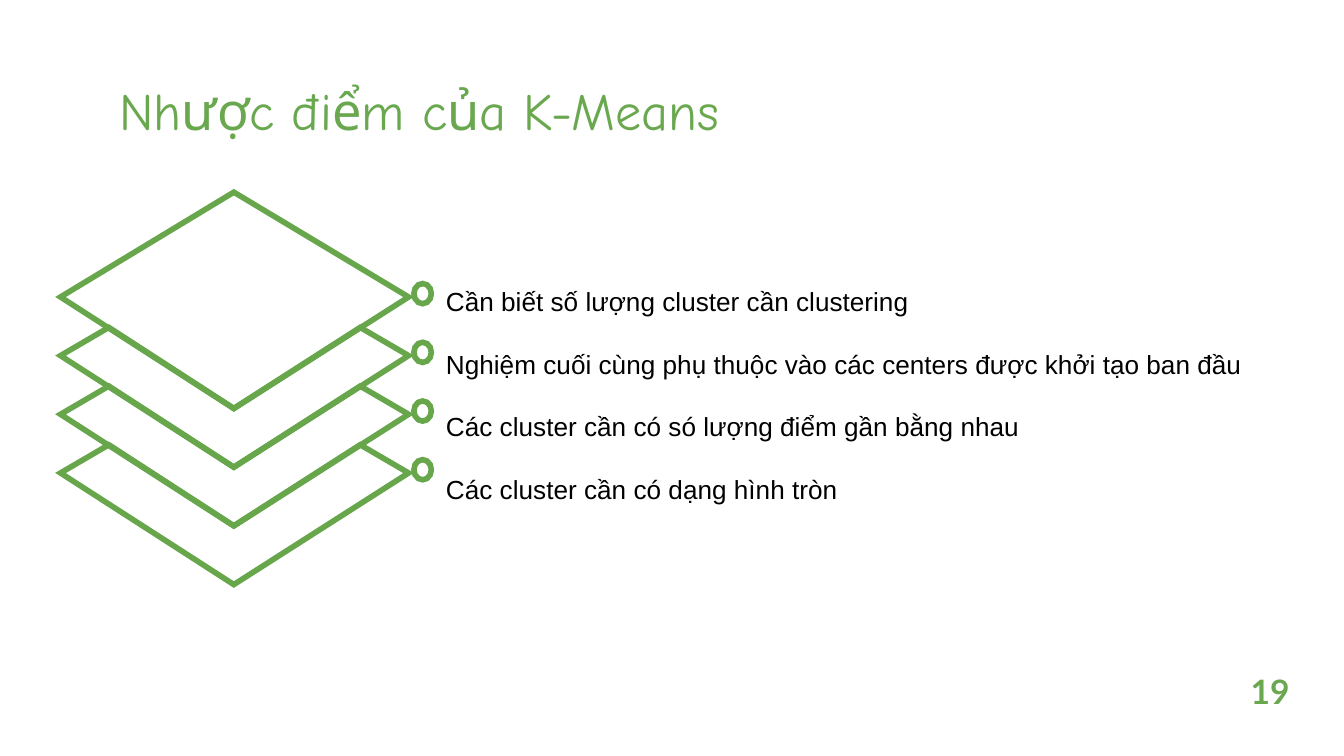
from dataclasses import dataclass

from lxml.etree import SubElement
from pptx import Presentation
from pptx.dml.color import RGBColor
from pptx.enum.shapes import MSO_SHAPE
from pptx.enum.text import MSO_ANCHOR, MSO_AUTO_SIZE, PP_ALIGN
from pptx.oxml.ns import qn
from pptx.shapes.autoshape import Shape
from pptx.slide import Slide
from pptx.text.text import TextFrame
from pptx.util import Inches, Pt

COLORS = {"heading": "6AA84F", "outline": "67A64B", "body": "000000"}
LEFT, CENTER, RIGHT = 0.45, 1.74, 3.04
NOTCH_LEFT, NOTCH_RIGHT = 0.81, 2.68
TOP, FIRST_MIDDLE, FIRST_BOTTOM = 1.43, 2.21, 3.04
LAST_MIDDLE = 3.52
DRAWBACKS = [
    "Cần biết số lượng cluster cần clustering",
    "Nghiệm cuối cùng phụ thuộc vào các centers được khởi tạo ban đầu",
    "Các cluster cần có só lượng điểm gần bằng nhau",
    "Các cluster cần có dạng hình tròn",
]
LAYER_STEP = (LAST_MIDDLE - FIRST_MIDDLE) / (len(DRAWBACKS) - 1)


@dataclass(frozen=True)
class TextStyle:
    font: str
    size: float
    color: str
    bold: bool = False
    align: PP_ALIGN = PP_ALIGN.LEFT
    spacing: float = 1.0


@dataclass(frozen=True)
class Layer:
    middle: float
    bottom: float
    covered: bool

    def points(self) -> list[tuple[float, float]]:
        lower_edge = [(RIGHT, self.middle), (CENTER, self.bottom), (LEFT, self.middle)]
        if not self.covered:
            return [(CENTER, TOP), *lower_edge]
        shoulder = self.middle - 0.21
        return [
            (NOTCH_LEFT, shoulder),
            (CENTER, self.bottom - LAYER_STEP),
            (NOTCH_RIGHT, shoulder),
            *lower_edge,
        ]


def write(frame: TextFrame, lines: list[str], style: TextStyle) -> None:
    frame.word_wrap = True
    frame.text = "\n".join(lines)
    for paragraph in frame.paragraphs:
        paragraph.alignment = style.align
        paragraph.line_spacing = style.spacing
        paragraph.font.name = style.font
        paragraph.font.size = Pt(style.size)
        paragraph.font.bold = style.bold
        paragraph.font.color.rgb = RGBColor.from_string(COLORS[style.color])


def outline(shape: Shape) -> None:
    shape.shadow.inherit = False
    shape.fill.background()
    shape.line.color.rgb = RGBColor.from_string(COLORS["outline"])
    shape.line.width = Pt(3)
    SubElement(shape.line._get_or_add_ln(), qn("a:miter"), lim="800000")


def draw_layer(slide: Slide, layer: Layer) -> None:
    start, *others = [(Inches(x), Inches(y)) for x, y in layer.points()]
    builder = slide.shapes.build_freeform(*start)
    builder.add_line_segments(others, close=True)
    outline(builder.convert_to_shape())


def draw_ring(slide: Slide, layer: Layer) -> None:
    outline(slide.shapes.add_shape(
        MSO_SHAPE.OVAL, Inches(3.08), Inches(layer.middle - 0.1), Inches(0.13), Inches(0.15)
    ))


def main() -> None:
    deck = Presentation()
    deck.slide_width, deck.slide_height = Inches(10), Inches(10 * 9 / 16)
    slide = deck.slides.add_slide(deck.slide_layouts[5])

    title = slide.shapes.title
    title.left, title.top = Inches(0.79), Inches(0.48)
    title.width, title.height = Inches(8.46), Inches(0.63)
    heading = title.text_frame
    heading.margin_left = heading.margin_right = Inches(0.1)
    heading.margin_top = heading.margin_bottom = Inches(0.1)
    heading.vertical_anchor = MSO_ANCHOR.TOP
    heading.auto_size = MSO_AUTO_SIZE.NONE
    write(heading, ["Nhược điểm của K-Means"], TextStyle("Comic Neue", 28, "heading"))

    layers = [
        Layer(FIRST_MIDDLE + i * LAYER_STEP, FIRST_BOTTOM + i * LAYER_STEP, i > 0)
        for i in range(len(DRAWBACKS))
    ]
    for layer in reversed(layers):
        draw_layer(slide, layer)
        draw_ring(slide, layer)

    drawbacks = slide.shapes.add_textbox(Inches(3.22), Inches(1.84), Inches(6.17), Inches(1.91))
    write(drawbacks.text_frame, DRAWBACKS, TextStyle("Arial", 14, "body", spacing=2.0))

    page_number = slide.shapes.add_textbox(Inches(9.12), Inches(4.94), Inches(0.66), Inches(0.4))
    write(
        page_number.text_frame,
        ["19"],
        TextStyle("Lato", 18, "heading", bold=True, align=PP_ALIGN.CENTER),
    )
    deck.save("out.pptx")


if __name__ == "__main__":
    main()
